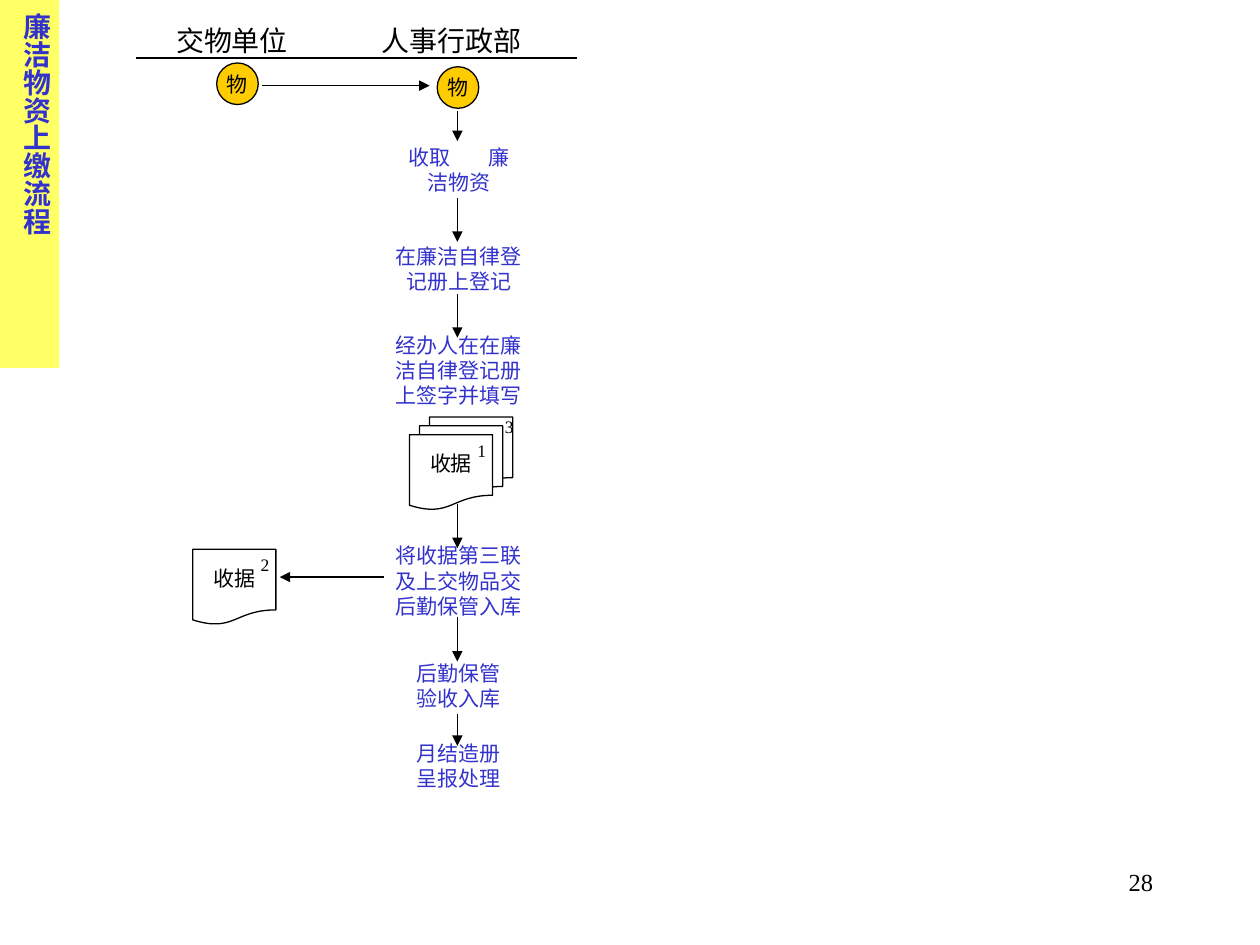
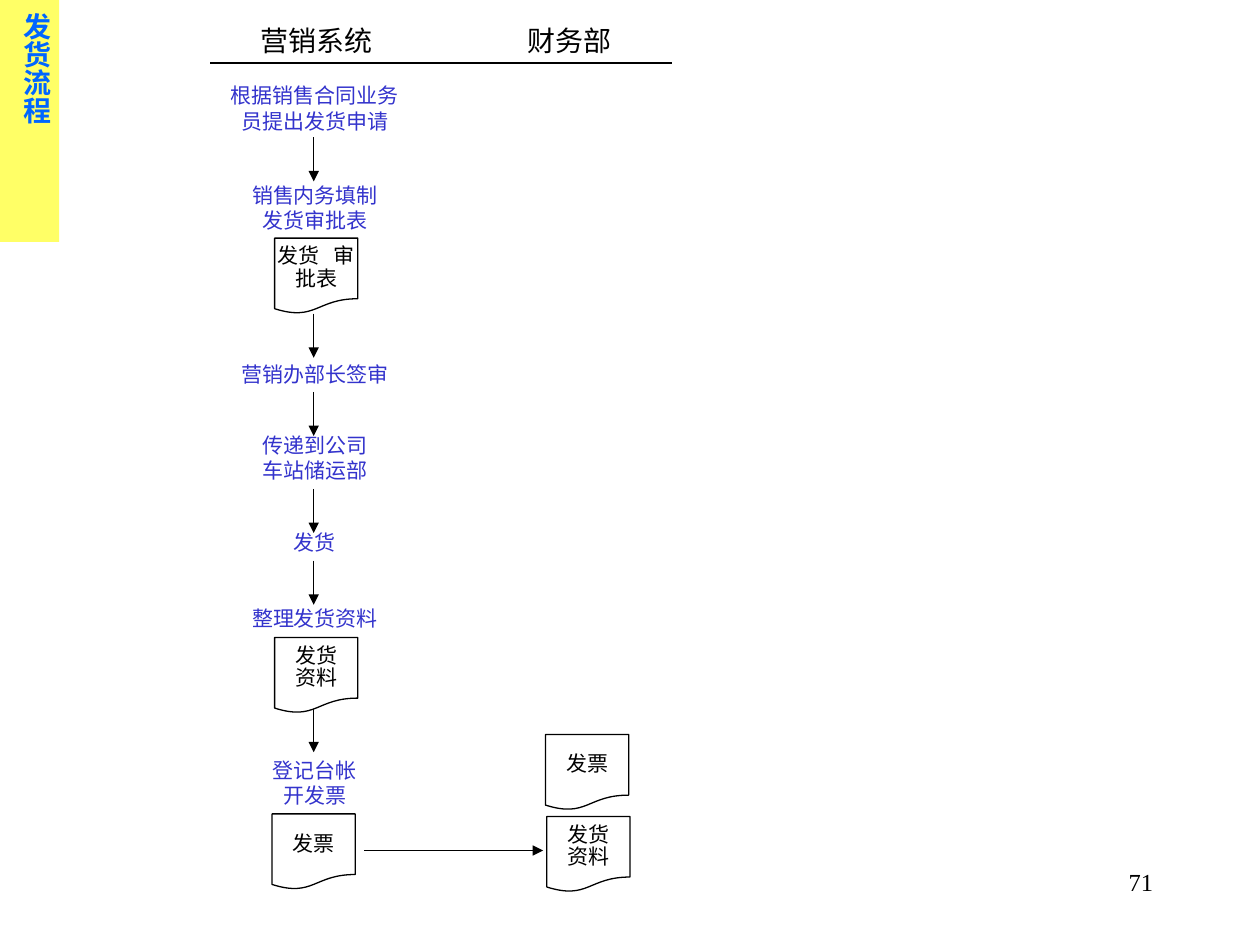
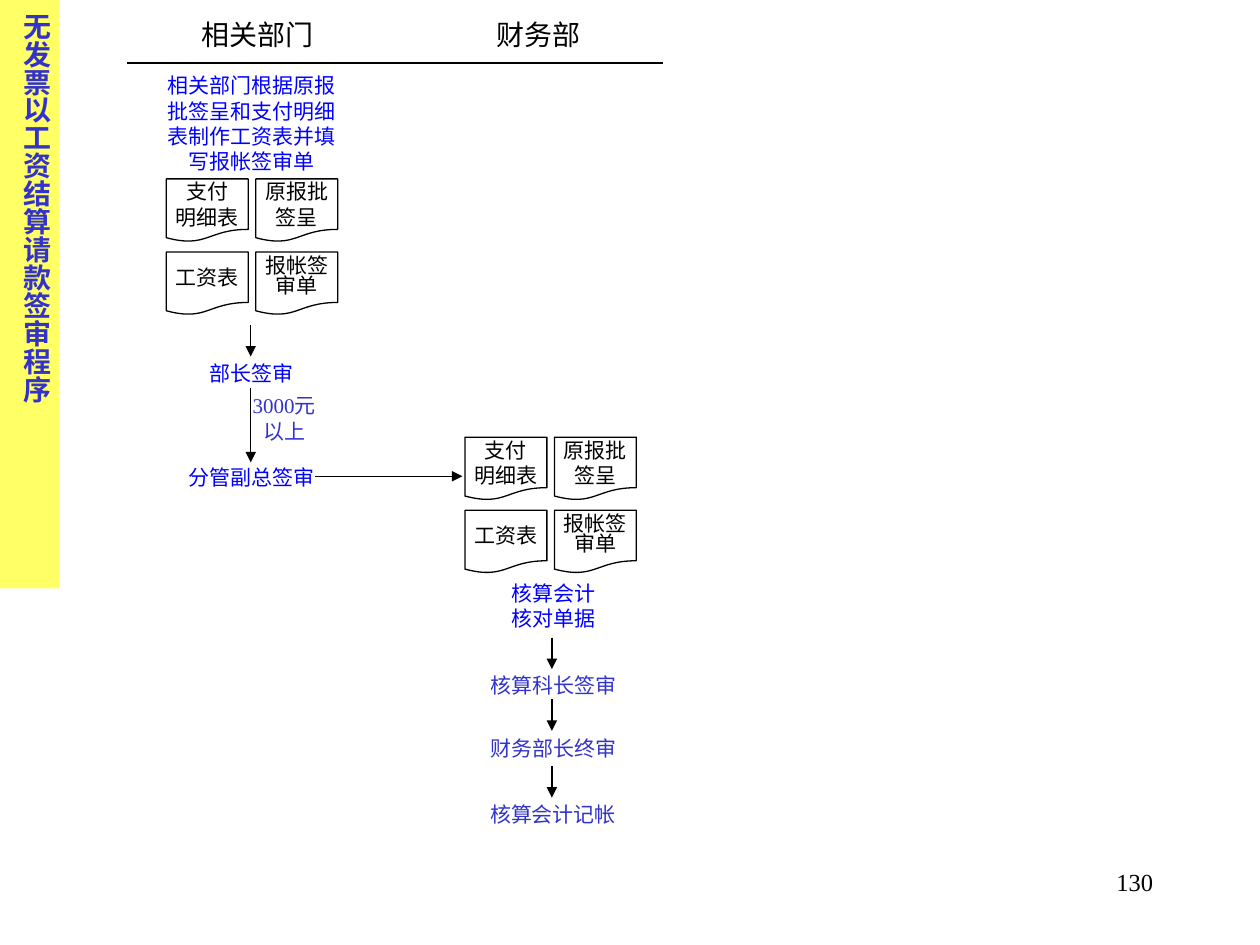
from dataclasses import dataclass

from lxml import etree
from pptx import Presentation
from pptx.dml.color import RGBColor
from pptx.enum.shapes import MSO_CONNECTOR, MSO_SHAPE
from pptx.enum.text import MSO_ANCHOR, PP_ALIGN
from pptx.oxml.ns import qn
from pptx.util import Inches, Pt

LEFT, CENTER, RIGHT, JUSTIFY = PP_ALIGN.LEFT, PP_ALIGN.CENTER, PP_ALIGN.RIGHT, PP_ALIGN.JUSTIFY
MIDDLE = MSO_ANCHOR.MIDDLE
STRAIGHT = MSO_CONNECTOR.STRAIGHT
DOCUMENT, OVAL, RECTANGLE = MSO_SHAPE.FLOWCHART_DOCUMENT, MSO_SHAPE.OVAL, MSO_SHAPE.RECTANGLE

SLIDE_W, SLIDE_H = 10, 7.5
FONT = "Times New Roman"
BLACK, WHITE, YELLOW, GOLD = "000000", "FFFFFF", "FFFF66", "FFCC00"
INDIGO, BLUE, SKY = "3333CC", "0000FF", "0066FF"
BAND_W = 0.47
LANE_TOP = 0.5
DOC_W, DOC_H = 0.66, 0.6
CLAIM_DOCS = [("支付", "明细表"), ("原报批", "签呈"), ("工资表",), ("报帐签", "审单")]


@dataclass
class Box:
    """A rectangle in inches."""
    left: float
    top: float
    width: float
    height: float

    def inches(self):
        """Return the four lengths for python-pptx."""
        return [Inches(v) for v in (self.left, self.top, self.width, self.height)]


def rgb(value):
    """Turn a hex string into a colour."""
    return RGBColor.from_string(value)


def write(frame, lines, size=12, color=BLACK, align=CENTER, spacing=1.0, bold=False, gap=0):
    """Write one paragraph per line; gap widens the space within a line by points."""
    for index, line in enumerate(lines):
        paragraph = frame.paragraphs[0] if index == 0 else frame.add_paragraph()
        paragraph.alignment = align
        paragraph.line_spacing = spacing
        for piece in line.partition(" ") if gap else (line,):
            if not piece:
                continue
            run = paragraph.add_run()
            run.text = piece
            run.font.name, run.font.size, run.font.bold = FONT, Pt(size), bold
            run.font.color.rgb = rgb(color)
            if piece == " ":
                run.font._element.set("spc", str(gap * 100))


def label(slide, box, lines, **style):
    """Add a wrapping text box and return its frame."""
    frame = slide.shapes.add_textbox(*box.inches()).text_frame
    frame.word_wrap = True
    write(frame, lines, **style)
    return frame


def block(slide, kind, box, fill, outlined=True):
    """Add a filled shape with centred, unpadded text and return its frame."""
    shape = slide.shapes.add_shape(kind, *box.inches())
    shape.shadow.inherit = False
    shape.fill.solid()
    shape.fill.fore_color.rgb = rgb(fill)
    if outlined:
        shape.line.color.rgb = rgb(BLACK)
        shape.line.width = Pt(0.75)
    else:
        shape.line.fill.background()
    frame = shape.text_frame
    frame.margin_left = frame.margin_right = frame.margin_top = frame.margin_bottom = 0
    frame.word_wrap = False
    frame.vertical_anchor = MIDDLE
    return frame


def rule(slide, start, end, arrow=True):
    """Draw a thin black line, with an arrowhead at its end if asked."""
    line = slide.shapes.add_connector(STRAIGHT, *[Inches(v) for v in (*start, *end)])
    line.line.color.rgb = rgb(BLACK)
    line.line.width = Pt(0.75)
    properties = line._element.spPr
    if arrow:
        etree.SubElement(properties.find(qn("a:ln")), qn("a:tailEnd"), type="triangle")
    etree.SubElement(properties, qn("a:effectLst"))


def title_band(slide, box, title, color):
    """Place the yellow band with its vertical title."""
    frame = block(slide, RECTANGLE, box, YELLOW, outlined=False)
    frame.margin_left = frame.margin_right = Inches(0.05)
    frame.margin_top = frame.margin_bottom = Inches(0.1)
    frame.word_wrap = True
    frame.vertical_anchor = MSO_ANCHOR.TOP
    frame._txBody.bodyPr.set("vert", "eaVert")
    write(frame, [title], size=16, color=color, align=JUSTIFY, bold=True)


def lane_heads(slide, box, departments, second_at, rule_y, rule_left, rule_right):
    """Name the two lanes on one tabbed line above a rule."""
    frame = label(slide, box, ["\t".join(departments)], size=16, align=LEFT, spacing=0.8)
    tabs = etree.SubElement(frame.paragraphs[0]._p.get_or_add_pPr(), qn("a:tabLst"))
    etree.SubElement(tabs, qn("a:tab"), pos=str(Inches(second_at)), algn="l")
    rule(slide, (rule_left, rule_y), (rule_right, rule_y), arrow=False)


def lane(slide, box, steps, arrows, color=INDIGO):
    """Centre steps (top, width, rows, text) and arrows (top, length) in a lane."""
    axis = box.left + box.width / 2
    for top, width, rows, text in steps:
        place = Box(axis - width / 2, box.top + top, width, 0.1 + 0.2 * rows)
        label(slide, place, [text], color=color, gap=19)
    for top, length in arrows:
        start = box.top + top
        rule(slide, (axis - 0.01, start), (axis - 0.01, start + length))


def document(slide, box, lines=(), spacing=0.9, gap=0):
    """Place one paper form with its name."""
    write(block(slide, DOCUMENT, box, WHITE), lines, spacing=spacing, gap=gap)


def copy_number(slide, box, number, dx=0.44, dy=-0.01):
    """Number a form in its upper right corner."""
    label(slide, Box(box.left + dx, box.top + dy, 0.33, 0.27), [number], size=10, align=LEFT)


def claim_documents(slide, box):
    """Lay the four claim forms out in a two by two grid."""
    column, row = box.width / 2, box.height / 2
    for index, lines in enumerate(CLAIM_DOCS):
        place = Box(box.left + index % 2 * column, box.top + index // 2 * row, 0.65, 0.5)
        document(slide, place, lines, spacing=0.8 if index == 3 else 1.0)


def page_number(slide, number):
    """Place the page number at the lower right."""
    label(slide, Box(7.17, 6.83, 2.08, 0.5), [number], size=14, align=RIGHT)


def new_slide(deck, title, band_height, page, color=INDIGO):
    """Start a blank slide with its title band and page number."""
    slide = deck.slides.add_slide(deck.slide_layouts[6])
    title_band(slide, Box(0, 0, BAND_W, band_height), title, color)
    page_number(slide, page)
    return slide


def handover_slide(deck):
    """Build the flow for handing in goods."""
    slide = new_slide(deck, "廉洁物资上缴流程", 2.92, "28")
    lane_heads(slide, Box(1.3, 0.19, 3.45, 0.31), ("交物单位", "人事行政部"), 1.63, 0.46, 1.08, 4.58)
    lane(slide, Box(2.89, LANE_TOP, 1.5, 6), [
        (0.6, 1.03, 2, "收取 廉洁物资"),
        (1.38, 1.33, 2, "在廉洁自律登记册上登记"),
        (2.09, 1.33, 3, "经办人在在廉洁自律登记册上签字并填写"),
        (3.76, 1.25, 3, "将收据第三联及上交物品交后勤保管入库"),
        (4.69, 1.02, 2, "后勤保管验收入库"),
        (5.33, 1.02, 2, "月结造册呈报处理"),
    ], [(0.38, 0.24), (1.07, 0.35), (1.83, 0.35), (3.5, 0.35), (4.4, 0.35), (5.17, 0.25)])
    for left, top in ((1.72, 0.5), (3.47, 0.53)):
        write(block(slide, OVAL, Box(left, top, 0.33, 0.33), GOLD), ["物"])
    rule(slide, (2.08, 0.68), (3.41, 0.68))
    rule(slide, (3.05, 4.58), (2.22, 4.58))

    back, middle, front = [Box(3.41 - 0.08 * i, 3.31 + 0.07 * i, DOC_W, DOC_H) for i in range(3)]
    document(slide, back)
    document(slide, middle)
    document(slide, front, ["收据"])
    copy_number(slide, front, "1")
    copy_number(slide, back, "3", dx=0.5, dy=-0.06)
    second = Box(1.53, 4.36, DOC_W, DOC_H)
    document(slide, second, ["收据"])
    copy_number(slide, second, "2")


def delivery_slide(deck):
    """Build the flow for shipping goods."""
    slide = new_slide(deck, "发货流程", 1.92, "71", SKY)
    lane_heads(slide, Box(1.97, 0.19, 3.19, 0.31), ("营销系统", "财务部"), 2.12, 0.5, 1.67, 5.33)
    lane(slide, Box(1.7, LANE_TOP, 1.6, 6.6), [
        (0.11, 1.56, 2, "根据销售合同业务员提出发货申请"),
        (0.9, 1.25, 2, "销售内务填制发货审批表"),
        (2.32, 1.6, 1, "营销办部长签审"),
        (2.88, 1.17, 2, "传递到公司车站储运部"),
        (3.65, 1.17, 1, "发货"),
        (4.26, 1.35, 1, "整理发货资料"),
        (5.46, 1.01, 2, "登记台帐开发票"),
    ], [(top, 0.35) for top in (0.59, 1.99, 2.61, 3.38, 3.95, 5.12)])
    for left, top, lines in (
        (2.18, 1.89, ("发货 审", "批表")),
        (2.18, 5.06, ("发货", "资料")),
        (2.16, 6.46, ("发票",)),
        (4.33, 5.83, ("发票",)),
        (4.34, 6.48, ("发货", "资料")),
    ):
        document(slide, Box(left, top, DOC_W, DOC_H), lines, gap=5)
    rule(slide, (2.89, 6.75), (4.31, 6.75))


def payroll_slide(deck):
    """Build the approval flow for payroll claims without an invoice."""
    slide = new_slide(deck, "无发票以工资结算请款签审程序", 4.67, "130")
    lane_heads(slide, Box(1.5, 0.14, 3.58, 0.31), ("相关部门", "财务部"), 2.34, 0.5, 1.01, 5.26)
    lane(slide, Box(1.2, LANE_TOP, 1.6, 3.5), [
        (0.03, 1.56, 4, "相关部门根据原报批签呈和支付明细表制作工资表并填写报帐签审单"),
        (2.31, 1.33, 1, "部长签审"),
        (3.14, 1.33, 1, "分管副总签审"),
    ], [(2.08, 0.25), (2.58, 0.59)], BLUE)
    finance = Box(3.59, LANE_TOP, 1.6, 6.2)
    lane(slide, finance, [(4.06, 0.99, 2, "核算会计核对单据")], [], BLUE)
    lane(slide, finance, [
        (4.79, 1.42, 1, "核算科长签审"),
        (5.29, 1.21, 1, "财务部长终审"),
        (5.81, 1.33, 1, "核算会计记帐"),
    ], [(top, 0.25) for top in (4.56, 5.05, 5.58)])
    label(slide, Box(1.83, 3.07, 0.85, 0.5), ["3000元以上"], color=INDIGO)
    claim_documents(slide, Box(1.32, 1.42, 1.42, 1.16))
    claim_documents(slide, Box(3.69, 3.47, 1.42, 1.16))
    rule(slide, (2.5, 3.78), (3.67, 3.78))


def main():
    """Build and save the deck."""
    deck = Presentation()
    deck.slide_width, deck.slide_height = Inches(SLIDE_W), Inches(SLIDE_H)
    handover_slide(deck)
    delivery_slide(deck)
    payroll_slide(deck)
    deck.save("out.pptx")


if __name__ == "__main__":
    main()
